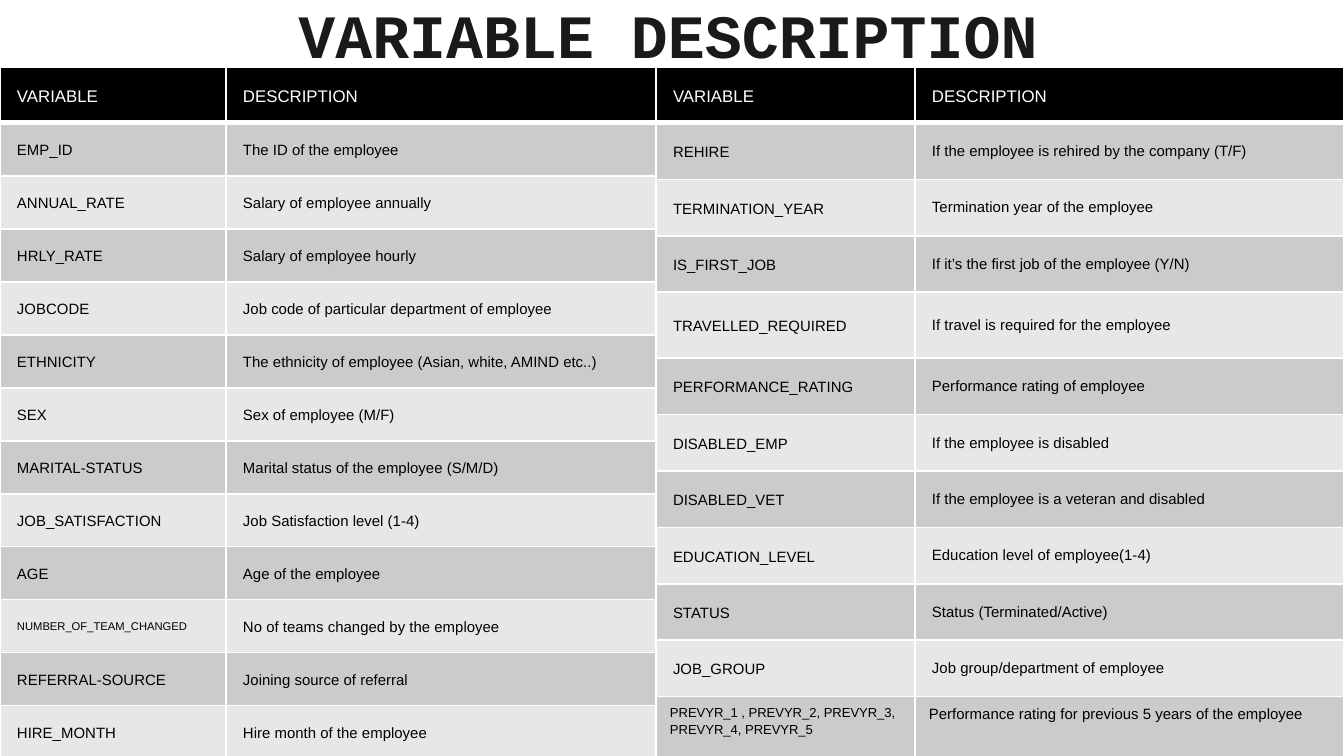
from lxml import etree
from pptx import Presentation
from pptx import util as u
from pptx.dml.color import RGBColor
from pptx.enum import shapes, text
from pptx.oxml.ns import qn

TITLE = "VARIABLE DESCRIPTION"
HEADER = ("VARIABLE", "DESCRIPTION")
EMPLOYEE_VARIABLES = [
    ("EMP_ID", "The ID of the employee"),
    ("ANNUAL_RATE", "Salary of employee annually"),
    ("HRLY_RATE", "Salary of employee hourly"),
    ("JOBCODE", "Job code of particular department of employee"),
    ("ETHNICITY", "The ethnicity of employee (Asian, white, AMIND etc..)"),
    ("SEX", "Sex of employee (M/F)"),
    ("MARITAL-STATUS", "Marital status of the employee (S/M/D)"),
    ("JOB_SATISFACTION", "Job Satisfaction level (1-4)"),
    ("AGE", "Age of the employee"),
    ("NUMBER_OF_TEAM_CHANGED", "No of teams changed by the employee"),
    ("REFERRAL-SOURCE", "Joining source of referral"),
    ("HIRE_MONTH", "Hire month of the employee"),
]
STATUS_VARIABLES = [
    ("REHIRE", "If the employee is rehired by the company (T/F)"),
    ("TERMINATION_YEAR", "Termination year of the employee"),
    ("IS_FIRST_JOB", "If it’s the first job of the employee (Y/N)"),
    ("TRAVELLED_REQUIRED", "If travel is required for the employee"),
    ("PERFORMANCE_RATING", "Performance rating of employee"),
    ("DISABLED_EMP", "If the employee is disabled"),
    ("DISABLED_VET", "If the employee is a veteran and disabled"),
    ("EDUCATION_LEVEL", "Education level of employee(1-4)"),
    ("STATUS", "Status (Terminated/Active)"),
    ("JOB_GROUP", "Job group/department of employee"),
    ("PREVYR_1 , PREVYR_2, PREVYR_3, PREVYR_4, PREVYR_5",
     "Performance rating for previous 5 years of the employee"),
]
SMALL_SIZES = {"NUMBER_OF_TEAM_CHANGED": 6, STATUS_VARIABLES[-1][0]: 7}
BANDS = ("CBCBCB", "E7E7E7")
TABLE_TOP, HEADER_HEIGHT = 67, 56


def px(length):
    return u.Emu(round(length * u.Inches(1) / 134.4))


def color(hex_code):
    return RGBColor.from_string(hex_code)


def set_margins(target, side, top, bottom):
    target.margin_left = target.margin_right = px(side)
    target.margin_top, target.margin_bottom = px(top), px(bottom)


def draw_borders(cell, top, bottom):
    """White borders; top and bottom widths in points, sides 1 pt."""
    properties = cell._tc.get_or_add_tcPr()
    for tag, width in (("a:lnL", 1), ("a:lnR", 1), ("a:lnT", top), ("a:lnB", bottom)):
        line = etree.SubElement(properties, qn(tag), w=str(u.Pt(width)))
        fill = etree.SubElement(line, qn("a:solidFill"))
        etree.SubElement(fill, qn("a:srgbClr"), val="FFFFFF")


def add_variable_table(slide, left, columns, variables, heights, description_spacing,
                       loose_last=False):
    """loose_last sets the last row at the top of its cells with small margins."""
    rows = [HEADER] + variables
    heights = [HEADER_HEIGHT] + heights
    table = slide.shapes.add_table(len(rows), 2, px(left), px(TABLE_TOP),
                                   px(sum(columns)), px(sum(heights))).table
    for column, width in zip(table.columns, columns):
        column.width = px(width)
    for r, (row, height) in enumerate(zip(rows, heights)):
        table.rows[r].height = px(height)
        is_header = r == 0
        is_loose = loose_last and r == len(rows) - 1
        for c, wording in enumerate(row):
            cell = table.cell(r, c)
            draw_borders(cell, 3 if r == 1 else 1, 3 if is_header else 1)
            cell.fill.solid()
            cell.fill.fore_color.rgb = color("000000" if is_header else BANDS[(r - 1) % 2])
            set_margins(cell, *((14, 7, 7) if is_loose else (17, 16, 16)))
            cell.vertical_anchor = text.MSO_ANCHOR.TOP if is_loose else text.MSO_ANCHOR.MIDDLE
            cell.text = wording
            paragraph = cell.text_frame.paragraphs[0]
            plain_description = c == 1 and not is_header and not is_loose
            paragraph.line_spacing = description_spacing if plain_description else 1.15
            paragraph.font.name = "Arial"
            paragraph.font.size = u.Pt(9 if is_header else SMALL_SIZES.get(wording, 8))
            paragraph.font.bold = False
            paragraph.font.color.rgb = color("FFFFFF" if is_header else "000000")


def main():
    deck = Presentation()
    deck.slide_width, deck.slide_height = px(1344), px(756)
    slide = deck.slides.add_slide(deck.slide_layouts[6])
    slide.background.fill.solid()
    slide.background.fill.fore_color.rgb = color("E9EDEE")

    title_band = slide.shapes.add_shape(shapes.MSO_SHAPE.RECTANGLE, 0, 0, px(1344), px(71))
    title_band.shadow.inherit = False
    title_band.fill.solid()
    title_band.fill.fore_color.rgb = color("FFFFFF")
    title_band.line.fill.background()

    add_variable_table(slide, 0, (226, 438), EMPLOYEE_VARIABLES,
                       [53] * len(EMPLOYEE_VARIABLES), 1.15)
    row = 508 / 9
    add_variable_table(slide, 656, (259, 429), STATUS_VARIABLES,
                       [row] * 3 + [66] + [row] * 6 + [79], 1.0, loose_last=True)

    title = slide.shapes.add_textbox(0, px(-16), px(1336), px(71)).text_frame
    title.word_wrap = True
    title.vertical_anchor = text.MSO_ANCHOR.TOP
    set_margins(title, 13, 13, 0)
    title.text = TITLE
    heading = title.paragraphs[0]
    heading.alignment = text.PP_ALIGN.CENTER
    heading.font.name = "Courier New"
    heading.font.size = u.Pt(33)
    heading.font.bold = True
    heading.font.color.rgb = color("1A1A1A")

    deck.save("out.pptx")


if __name__ == "__main__":
    main()
